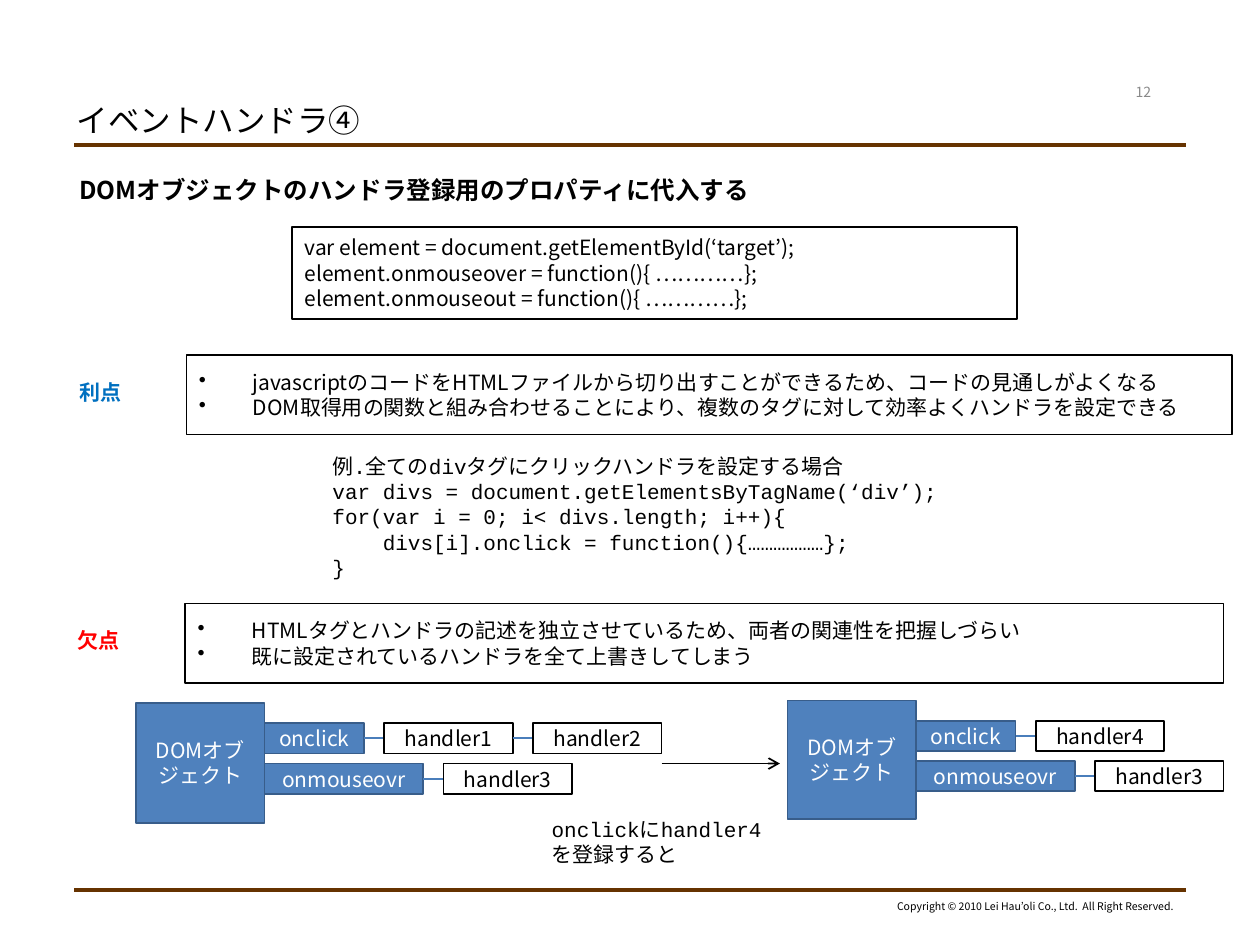
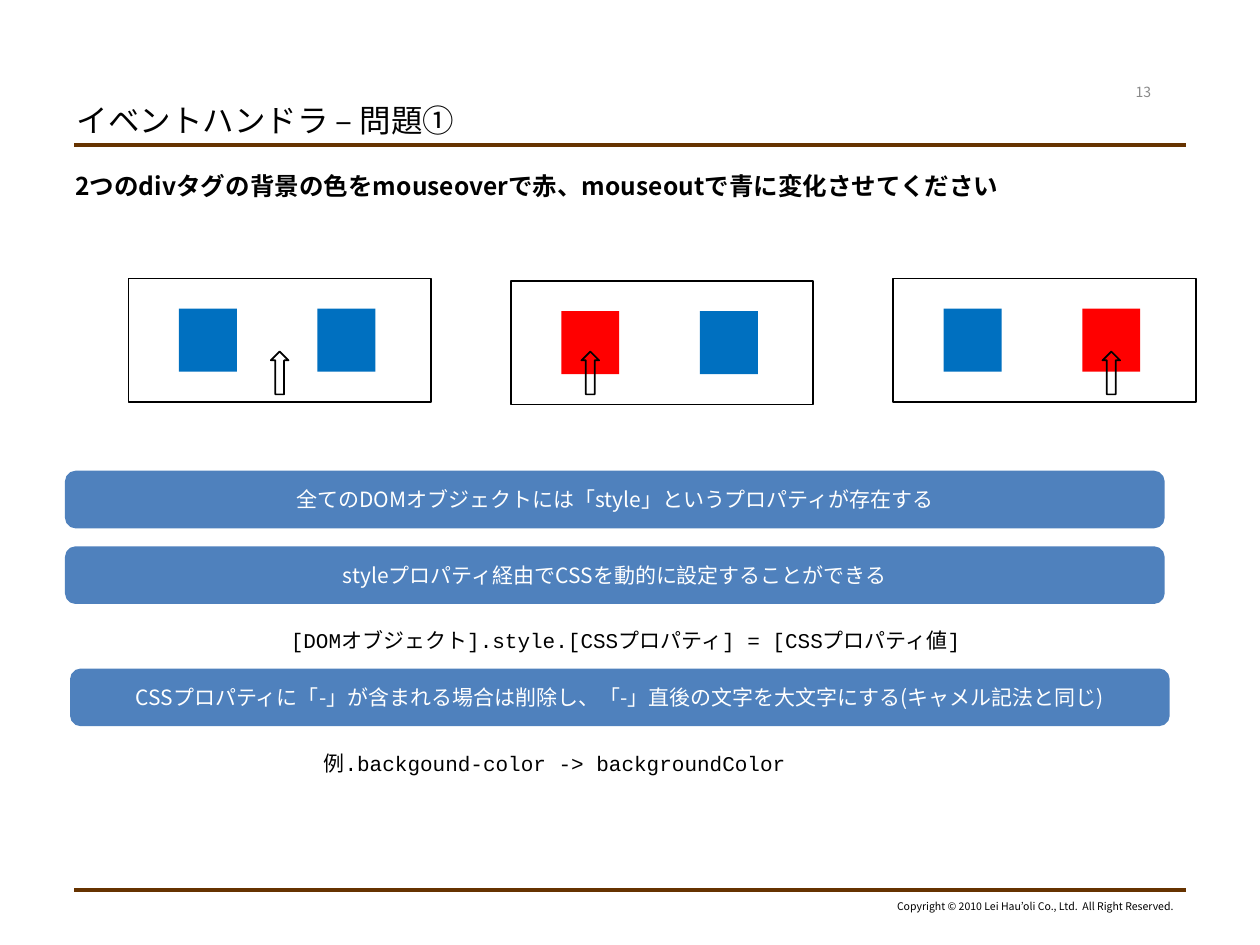
from lxml import etree
from pptx import Presentation
from pptx import util as u
from pptx.dml.color import RGBColor
from pptx.enum import shapes, text
from pptx.oxml.ns import qn

COLORS = {
    "ink": "000000", "paper": "FFFFFF", "rule": "663300", "number": "898989",
    "fill": "4F81BD", "edge": "385D8A", "link": "4A7EBB",
    "blue": "0070C0", "red": "FF0000",
}
SANS, MONO = "Noto Sans CJK JP", "Courier New"
COPYRIGHT = "Copyright © 2010 Lei Hau’oli Co., Ltd.  All Right Reserved."
ALIGN, ANCHOR, SHAPE = text.PP_ALIGN, text.MSO_ANCHOR, shapes.MSO_SHAPE
HANDLER_WIDTH, CHAIN_GAP, CHAIN_HEIGHT = 1.02, 0.16, 0.24


def color(name):
    return RGBColor.from_string(COLORS[name])


def inches(*lengths):
    return [u.Inches(length) for length in lengths]


def write(shape, words, size=12, ink="ink", font=SANS, bold=False,
          align=ALIGN.LEFT, anchor=ANCHOR.TOP, bullet_indent=0):
    frame = shape.text_frame
    frame.text = words
    frame.vertical_anchor = anchor
    for para in frame.paragraphs:
        para.alignment = align
        if bullet_indent:
            props = para._p.get_or_add_pPr()
            props.set("marL", str(u.Inches(bullet_indent)))
            props.set("indent", str(-u.Inches(bullet_indent)))
            etree.SubElement(props, qn("a:buChar")).set("char", "•")
        for span in para.runs:
            span.font.size = u.Pt(size)
            span.font.bold = bold
            span.font.name = font
            span.font.color.rgb = color(ink)
            east_asian = etree.SubElement(span._r.get_or_add_rPr(), qn("a:ea"))
            east_asian.set("typeface", SANS)


def add_text(page, words, box, wrap=False, **style):
    label = page.shapes.add_textbox(*inches(*box))
    write(label, words, **style)
    label.text_frame.word_wrap = wrap
    if not wrap:
        label.text_frame.auto_size = text.MSO_AUTO_SIZE.SHAPE_TO_FIT_TEXT


def add_box(page, box, fill=None, line="ink", width=1, kind=SHAPE.RECTANGLE):
    shape = page.shapes.add_shape(kind, *inches(*box))
    shape.shadow.inherit = False
    if fill:
        shape.fill.solid()
        shape.fill.fore_color.rgb = color(fill)
    else:
        shape.fill.background()
    if line:
        shape.line.color.rgb = color(line)
        shape.line.width = u.Pt(width)
    else:
        shape.line.fill.background()
    return shape


def add_line(page, left, right, y, ink, width=1, arrow=False):
    line = page.shapes.add_connector(
        shapes.MSO_CONNECTOR.STRAIGHT, *inches(left, y, right, y))
    line.line.color.rgb = color(ink)
    line.line.width = u.Pt(width)
    if arrow:
        etree.SubElement(line.line._get_or_add_ln(), qn("a:tailEnd")).set("type", "arrow")
    etree.SubElement(line._element.spPr, qn("a:effectLst"))


def add_page(deck, title, number, lead, lead_box):
    """Start a slide with its rules, title, number, lead sentence and copyright."""
    page = deck.slides.add_slide(deck.slide_layouts[5])
    for y in (1.15, 7.06):
        add_line(page, 0.59, 9.41, y, "rule", 2.25)
    add_text(page, COPYRIGHT, (6.99, 7.09, 2.42, 0.2), size=6, align=ALIGN.RIGHT)
    heading = page.shapes.title
    heading.left, heading.top, heading.width, heading.height = inches(0.51, 0.76, 5.68, 0.39)
    write(heading, title, size=18, anchor=ANCHOR.MIDDLE)
    add_text(page, lead, lead_box, wrap=True, size=14, bold=True)
    add_text(page, str(number), (8.78, 0.61, 0.59, 0.24), wrap=True, size=8,
             ink="number", align=ALIGN.CENTER, anchor=ANCHOR.MIDDLE)
    return page


def add_points(page, box, label, ink, points):
    """Draw a framed bullet list with its coloured label in the left margin."""
    left, top = box[:2]
    write(add_box(page, box), "\n".join(points), anchor=ANCHOR.MIDDLE, bullet_indent=0.43)
    add_text(page, label, (left - 0.95, top + 0.14, 0.53, 0.3),
             font=MONO, ink=ink, bold=True)


def add_handler_chains(page, left, top, height, chains):
    """Draw a DOM object and, for each event, the handlers linked to it."""
    def add_node(box, words, filled):
        fill, line, ink = ("fill", "edge", "paper") if filled else (None, "ink", "ink")
        write(add_box(page, box, fill, line), words, ink=ink,
              align=ALIGN.CENTER, anchor=ANCHOR.MIDDLE)

    add_node((left, top, HANDLER_WIDTH, height), "DOMオブジェクト", True)
    for row, (event, event_width, handlers) in enumerate(chains):
        x, y = left + HANDLER_WIDTH, top + 0.16 + row * 0.32
        add_node((x, y, event_width, CHAIN_HEIGHT), event, True)
        x += event_width
        for handler in handlers:
            add_line(page, x, x + CHAIN_GAP, y + CHAIN_HEIGHT / 2, "link")
            x += CHAIN_GAP
            add_node((x, y, HANDLER_WIDTH, CHAIN_HEIGHT), handler, False)
            x += HANDLER_WIDTH


def add_mouse_panel(page, left, top, squares, pointer_x):
    """Draw a frame with two coloured squares and the pointer at pointer_x."""
    add_box(page, (left, top, 2.4, 0.98))
    for column, fill in enumerate(squares):
        add_box(page, (left + 0.4 + column * 1.1, top + 0.24, 0.46, 0.5), fill, None)
    add_box(page, (left + pointer_x, 2.79, 0.14, 0.34), kind=SHAPE.UP_ARROW)


def add_banner(page, left, top, words):
    banner = add_box(page, (left, top, 8.7, 0.43), "fill", "fill", 2, SHAPE.ROUNDED_RECTANGLE)
    write(banner, words, ink="paper", align=ALIGN.CENTER, anchor=ANCHOR.MIDDLE)


def build_property_slide(deck):
    page = add_page(deck, "イベントハンドラ④", 12,
                    "DOMオブジェクトのハンドラ登録用のプロパティに代入する", (0.53, 1.34, 9, 5.59))
    write(add_box(page, (2.32, 1.8, 5.75, 0.73)), "\n".join((
        "var element = document.getElementById(‘target’);",
        "element.onmouseover = function(){ …………};",
        "element.onmouseout = function(){ …………};",
    )), anchor=ANCHOR.MIDDLE)
    add_points(page, (1.48, 2.82, 8.3, 0.63), "利点", "blue", (
        "javascriptのコードをHTMLファイルから切り出すことができるため、コードの見通しがよくなる",
        "DOM取得用の関数と組み合わせることにより、複数のタグに対して効率よくハンドラを設定できる",
    ))
    add_text(page, "\n".join((
        "例.全てのdivタグにクリックハンドラを設定する場合",
        "var divs = document.getElementsByTagName(‘div’);",
        "for(var i = 0; i< divs.length; i++){",
        "    divs[i].onclick = function(){………………};",
        "}",
    )), (2.54, 3.55, 5, 1.1), font=MONO)
    add_points(page, (1.47, 4.79, 8.24, 0.63), "欠点", "red", (
        "HTMLタグとハンドラの記述を独立させているため、両者の関連性を把握しづらい",
        "既に設定されているハンドラを全て上書きしてしまう",
    ))
    mouseover = ("onmouseovr", 1.26, ["handler3"])
    add_handler_chains(page, 1.08, 5.58, 0.95,
                       [("onclick", 0.79, ["handler1", "handler2"]), mouseover])
    add_line(page, 5.25, 6.19, 6.06, "ink", arrow=True)
    add_handler_chains(page, 6.25, 5.56, 0.94, [("onclick", 0.79, ["handler4"]), mouseover])
    add_text(page, "onclickにhandler4\nを登録すると", (4.28, 6.43, 1.94, 0.5), font=MONO)


def build_exercise_slide(deck):
    page = add_page(deck, "イベントハンドラ – 問題①", 13,
                    "2つのdivタグの背景の色をmouseoverで赤、mouseoutで青に変化させてください",
                    (0.5, 1.31, 9, 5.59))
    panels = (
        (2.21, ("blue", "blue"), 1.13),
        (2.23, ("red", "blue"), 0.56),
        (2.21, ("blue", "red"), 1.66),
    )
    for column, (top, squares, pointer_x) in enumerate(panels):
        add_mouse_panel(page, 1.02 + column * 3.035, top, squares, pointer_x)
    add_banner(page, 0.53, 3.75, "全てのDOMオブジェクトには「style」というプロパティが存在する")
    add_banner(page, 0.53, 4.35, "styleプロパティ経由でCSSを動的に設定することができる")
    add_text(page, "[DOMオブジェクト].style.[CSSプロパティ] = [CSSプロパティ値]",
             (2.21, 4.93, 5.77, 0.3), font=MONO)
    add_banner(page, 0.57, 5.32,
               "CSSプロパティに「-」が含まれる場合は削除し、「-」直後の文字を大文字にする(キャメル記法と同じ)")
    add_text(page, "例.backgound-color -> backgroundColor", (2.47, 5.91, 3.9, 0.3), font=MONO)


def main():
    deck = Presentation()
    deck.slide_width, deck.slide_height = inches(10, 7.5)
    build_property_slide(deck)
    build_exercise_slide(deck)
    deck.save("out.pptx")


if __name__ == "__main__":
    main()
